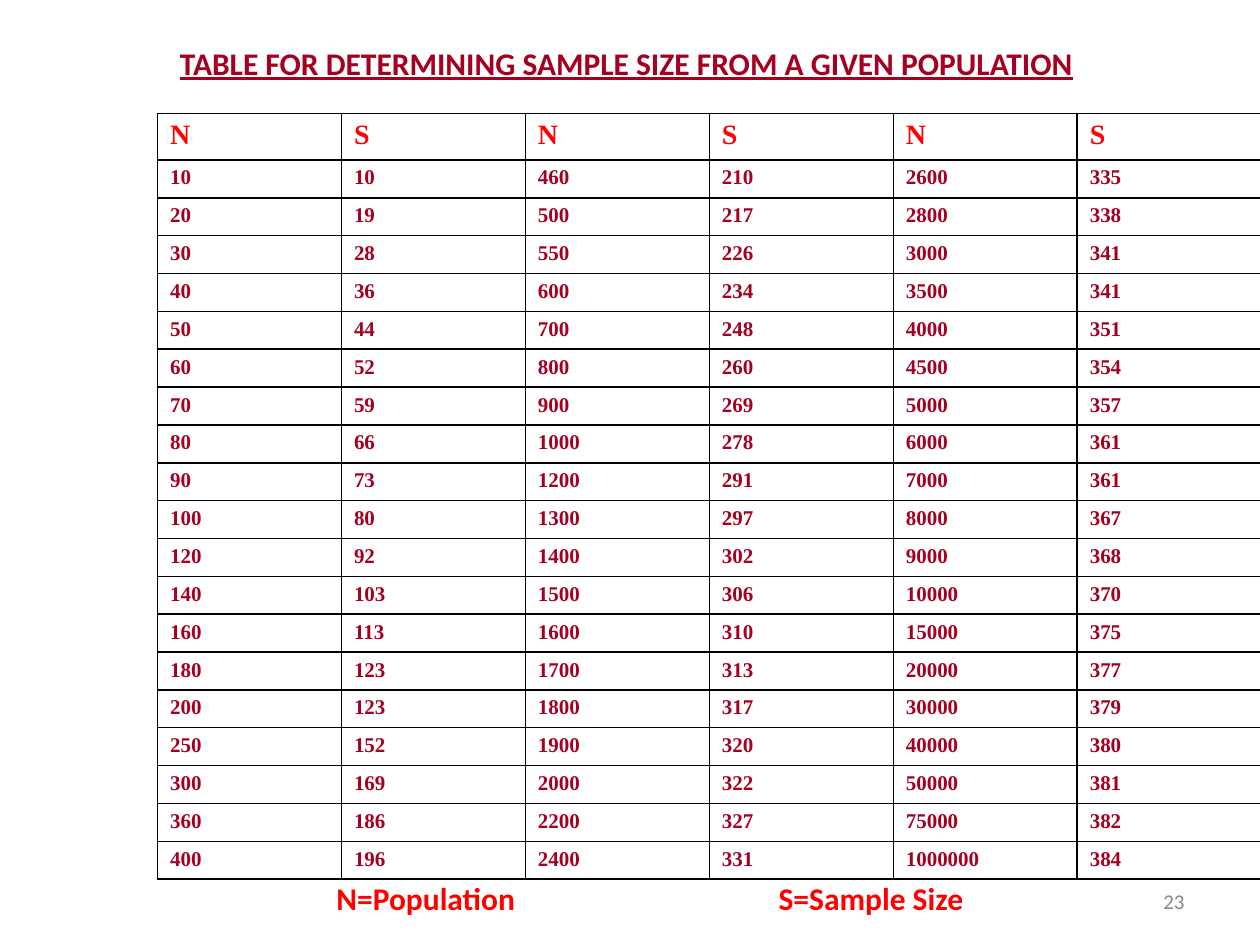
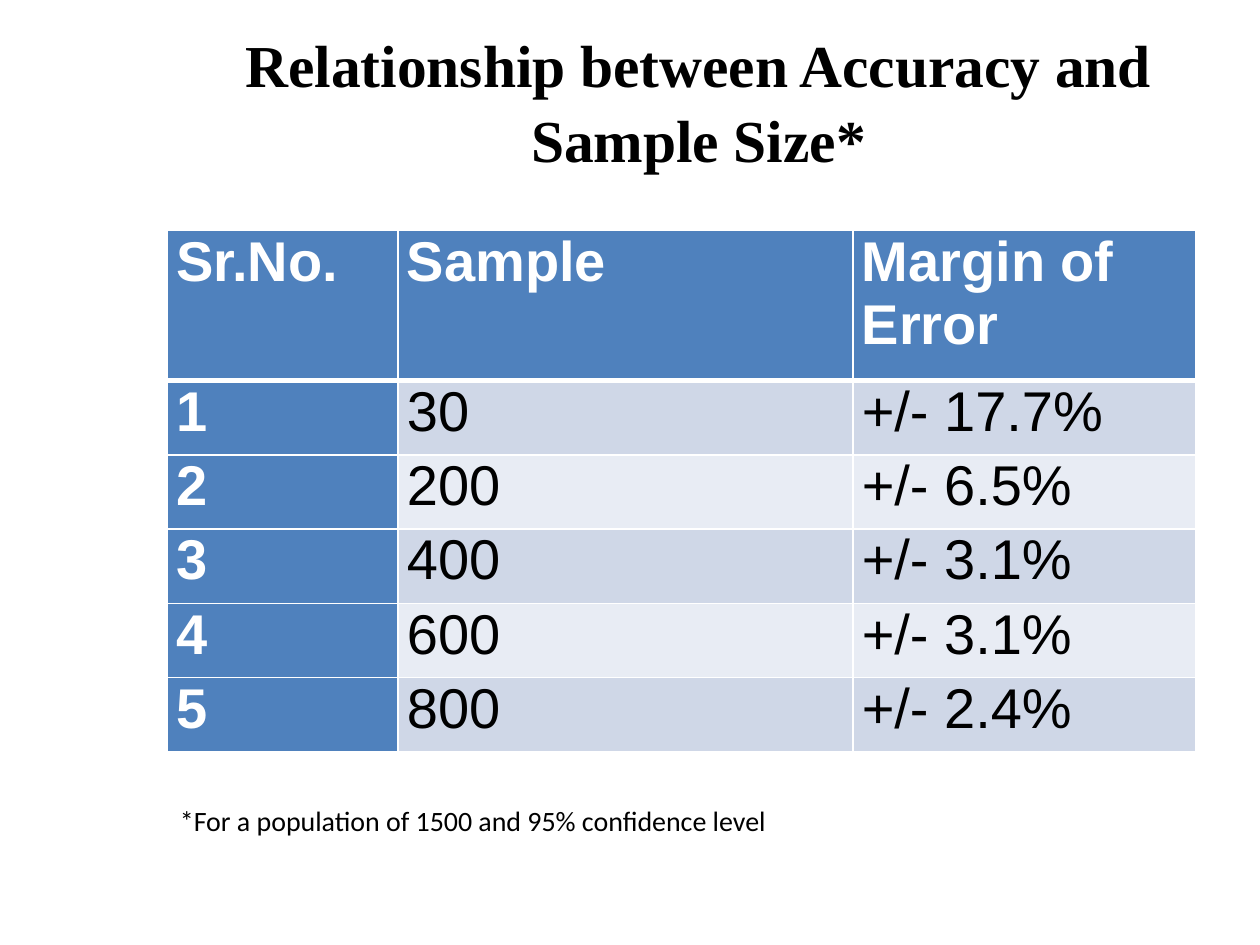
from lxml import etree
from pptx import Presentation
from pptx.dml.color import RGBColor
from pptx.enum.shapes import MSO_SHAPE
from pptx.enum.text import MSO_ANCHOR, PP_ALIGN
from pptx.oxml.ns import qn
from pptx.util import Inches, Pt

RECT = MSO_SHAPE.RECTANGLE
TOP, MIDDLE = MSO_ANCHOR.TOP, MSO_ANCHOR.MIDDLE
LEFT, CENTER, RIGHT = PP_ALIGN.LEFT, PP_ALIGN.CENTER, PP_ALIGN.RIGHT

COLORS = {
    "white": "FFFFFF", "black": "000000", "grey": "888888",
    "red": "FF0000", "crimson": "A50021",
    "blue": "4F81BD", "band_dark": "CFD7E7", "band_light": "E8ECF4",
}
SERIF, SANS, BODY = "Times New Roman", "Arial", "Calibri"

# Text formats: color is a key of COLORS, the rest are font attributes
FORMATS = {
    "heading": {"name": BODY, "size": 18, "bold": True, "underline": True, "color": "crimson"},
    "title": {"name": SERIF, "size": 34, "bold": True, "color": "black"},
    "legend": {"name": BODY, "size": 18, "bold": True, "color": "red"},
    "footnote": {"name": BODY, "size": 16, "color": "black"},
    "page": {"name": BODY, "size": 12, "color": "grey"},
    "size_head": {"name": SERIF, "size": 16, "bold": True, "color": "red"},
    "size_body": {"name": SERIF, "size": 12, "bold": True, "color": "crimson"},
    "error_head": {"name": SANS, "size": 32, "bold": True, "color": "white"},
    "error_body": {"name": SANS, "size": 32, "bold": False, "color": "black"},
}

# Population (N) and sample size (S) pairs, one list per pair of columns
SAMPLE_SIZES = [
    [(10, 10), (20, 19), (30, 28), (40, 36), (50, 44), (60, 52), (70, 59),
     (80, 66), (90, 73), (100, 80), (120, 92), (140, 103), (160, 113),
     (180, 123), (200, 123), (250, 152), (300, 169), (360, 186), (400, 196)],
    [(460, 210), (500, 217), (550, 226), (600, 234), (700, 248), (800, 260),
     (900, 269), (1000, 278), (1200, 291), (1300, 297), (1400, 302),
     (1500, 306), (1600, 310), (1700, 313), (1800, 317), (1900, 320),
     (2000, 322), (2200, 327), (2400, 331)],
    [(2600, 335), (2800, 338), (3000, 341), (3500, 341), (4000, 351),
     (4500, 354), (5000, 357), (6000, 361), (7000, 361), (8000, 367),
     (9000, 368), (10000, 370), (15000, 375), (20000, 377), (30000, 379),
     (40000, 380), (50000, 381), (75000, 382), (1000000, 384)],
]
ERROR_MARGINS = [(30, 17.7), (200, 6.5), (400, 3.1), (600, 3.1), (800, 2.4)]


def rgb(key):
    return RGBColor.from_string(COLORS[key])


def write(tf, text, style, align=LEFT):
    """Put one formatted run into the first paragraph."""
    p = tf.paragraphs[0]
    p.alignment = align
    r = p.add_run()
    r.text = text
    for key, value in FORMATS[style].items():
        if key == "color":
            r.font.color.rgb = rgb(value)
        else:
            setattr(r.font, key, Pt(value) if key == "size" else value)
    return p


def set_insets(target, x, y):
    for side, inset in (("left", x), ("top", y), ("right", x), ("bottom", y)):
        setattr(target, f"margin_{side}", Inches(inset))


def add_text(s, box, text, style, align=LEFT, anchor=MIDDLE, fill=None):
    """Add a text box, or a filled rectangle when a fill is given."""
    at = [Inches(v) for v in box]
    if fill:
        sp = s.shapes.add_shape(RECT, *at)
        sp.shadow.inherit = False
        sp.fill.solid()
        sp.fill.fore_color.rgb = rgb(fill)
        sp.line.fill.background()
    else:
        sp = s.shapes.add_textbox(*at)
    tf = sp.text_frame
    tf.word_wrap = True
    tf.vertical_anchor = anchor
    set_insets(tf, 0.1, 0.05)
    return tf, write(tf, text, style, align)


def add_tab_stop(p, inches):
    tabs = etree.SubElement(p._p.get_or_add_pPr(), qn("a:tabLst"))
    etree.SubElement(tabs, qn("a:tab"), pos=str(Inches(inches)), algn="l")


def set_borders(cell, color, widths):
    """Draw the four cell borders; widths are points by side letter."""
    tcPr = cell._tc.get_or_add_tcPr()
    for side in "LRTB":
        ln = etree.SubElement(tcPr, qn(f"a:ln{side}"), w=str(Pt(widths.get(side, 1))))
        fill = etree.SubElement(ln, qn("a:solidFill"))
        etree.SubElement(fill, qn("a:srgbClr"), val=COLORS[color])


def add_grid(s, left, top, cols, heights, rows, insets, border, look, head_rule=1):
    """Add a table; look(row, col) gives the text style and fill of a cell."""
    frame = s.shapes.add_table(len(rows), len(cols), Inches(left), Inches(top),
                               Inches(sum(cols)), Inches(sum(heights)))
    table = frame.table
    table.first_row = table.horz_banding = False
    for column, width in zip(table.columns, cols):
        column.width = Inches(width)
    for i, (values, height) in enumerate(zip(rows, heights)):
        table.rows[i].height = Inches(height)
        for j, value in enumerate(values):
            cell = table.cell(i, j)
            style, fill = look(i, j)
            set_insets(cell, *insets)
            set_borders(cell, border, {0: {"B": head_rule}, 1: {"T": head_rule}}.get(i, {}))
            cell.fill.solid()
            cell.fill.fore_color.rgb = rgb(fill)
            write(cell.text_frame, str(value), style)


def size_look(row, col):
    return ("size_body" if row else "size_head"), "white"


def error_look(row, col):
    if row == 0 or col == 0:
        return "error_head", "blue"
    return "error_body", "band_dark" if row % 2 else "band_light"


def sample_size_slide(s):
    add_text(s, (7.17, 6.95, 2.33, 0.4), "23", "page", RIGHT)
    add_text(s, (1.33, 0.3, 7.36, 0.71),
             "TABLE FOR DETERMINING SAMPLE SIZE FROM A GIVEN POPULATION",
             "heading", anchor=TOP, fill="white")

    # Three N/S column pairs side by side
    rows = [("N", "S") * len(SAMPLE_SIZES)]
    rows += [sum(pairs, ()) for pairs in zip(*SAMPLE_SIZES)]
    add_grid(s, 1.25, 0.9, [1.46] * 6, [0.37] + [0.3] * (len(rows) - 1), rows,
             (0.1, 0.05), "black", size_look)

    # Key to the column letters, split by a tab stop
    tf, p = add_text(s, (2.08, 6.93, 6, 0.4), "N=Population\tS=Sample Size", "legend")
    tf.margin_left = Inches(0.59)
    add_tab_stop(p, 3.51)


def accuracy_slide(s):
    tf, p = add_text(s, (1.42, 0.33, 8.25, 0.92),
                     "Relationship between Accuracy and Sample Size*", "title", CENTER)
    p.line_spacing = 1.05

    rows = [("Sr.No.", "Sample", "Margin of Error")]
    rows += [(n, sample, f"+/- {margin}%")
             for n, (sample, margin) in enumerate(ERROR_MARGINS, 1)]
    add_grid(s, 1.33, 1.83, [1.83, 3.61, 2.72], [1.19] + [0.59] * len(ERROR_MARGINS),
             rows, (0.07, 0), "white", error_look, head_rule=3)

    add_text(s, (1.33, 6.33, 7.83, 0.37),
             "*For a population of 1500 and 95% confidence level", "footnote", anchor=TOP)


def main():
    prs = Presentation()
    prs.slide_width, prs.slide_height = Inches(10), Inches(7.5)
    for build in (sample_size_slide, accuracy_slide):
        build(prs.slides.add_slide(prs.slide_layouts[6]))
    prs.save("out.pptx")


if __name__ == "__main__":
    main()
